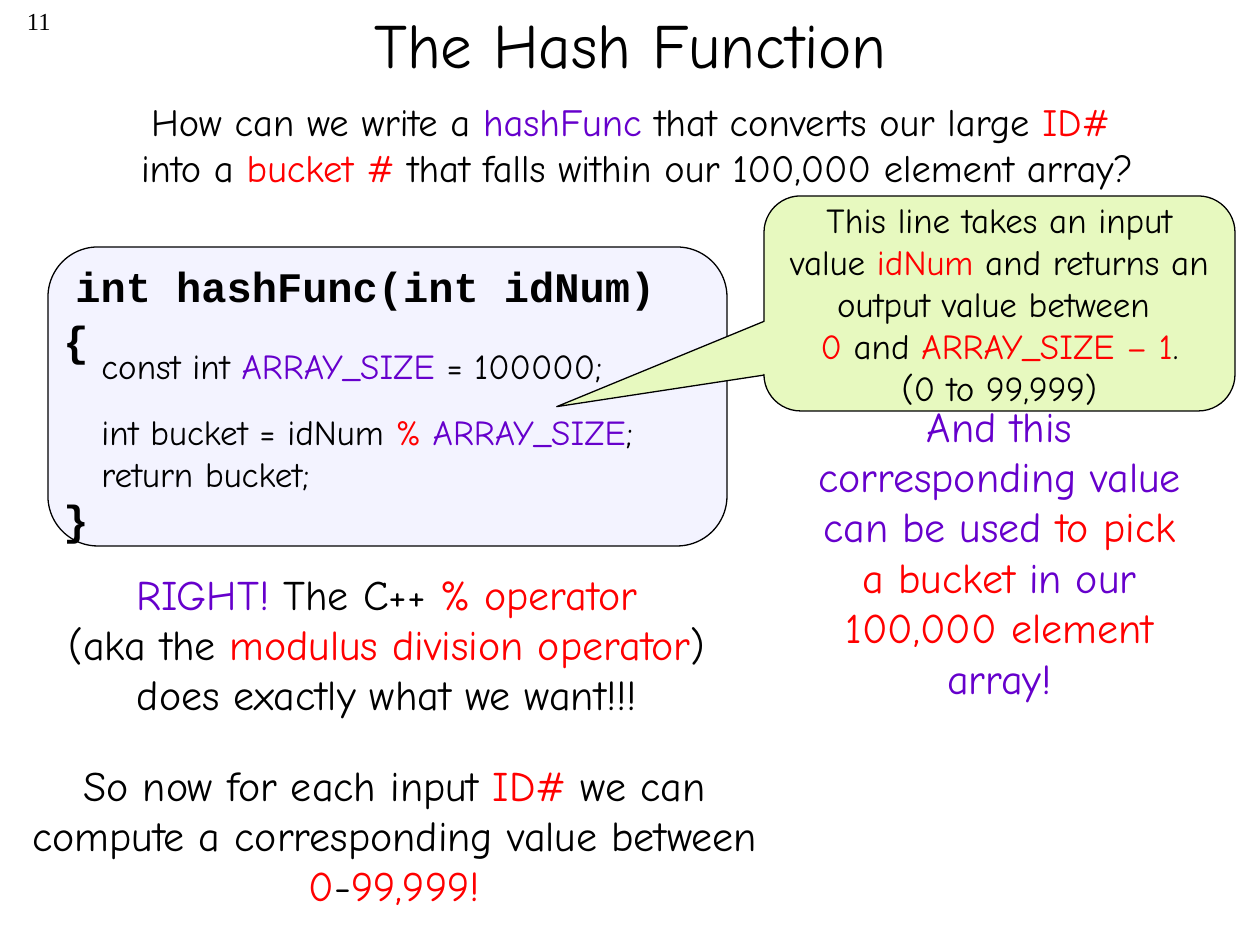
from pptx import Presentation
from pptx.dml.color import RGBColor
from pptx.enum.shapes import MSO_SHAPE as Shape
from pptx.enum.text import MSO_ANCHOR as Anchor, PP_ALIGN as Align
from pptx.util import Pt

PX = 914400 / 126
BLACK = RGBColor(0x00, 0x00, 0x00)
RED = RGBColor(0xFF, 0x00, 0x00)
PURPLE = RGBColor(0x66, 0x00, 0xCC)
LAVENDER = RGBColor(0xF3, 0xF3, 0xFF)
LIME = RGBColor(0xE7, 0xF9, 0xBF)
BODY, CODE, SERIF = "Comic Neue", "Courier New", "Times New Roman"


def px(n):
    """Turn px into EMU."""
    return round(n * PX)


def style(r, size, color=BLACK, font=BODY, bold=False):
    """Set the look of one run."""
    r.font.size, r.font.name, r.font.bold = Pt(size), font, bold
    r.font.color.rgb = color


def write(tf, paragraphs, size, align=Align.CENTER):
    """Fill a frame with paragraphs of (text, color) runs, breaking at newlines."""
    tf.word_wrap = True
    for i, runs in enumerate(paragraphs):
        p = tf.add_paragraph() if i else tf.paragraphs[0]
        p.alignment = align
        for text, color in runs:
            for j, piece in enumerate(text.split("\n")):
                if j:
                    p.add_line_break()
                if piece:
                    r = p.add_run()
                    r.text = piece
                    style(r, size, color)


def add_text(s, box, paragraphs, size, align=Align.CENTER):
    """Add a wrapped text box and return its frame."""
    tf = s.shapes.add_textbox(*map(px, box)).text_frame
    write(tf, paragraphs, size, align)
    return tf


def add_panel(s, kind, box, fill):
    """Add a filled shape with a thin black outline."""
    sp = s.shapes.add_shape(kind, *map(px, box))
    sp.shadow.inherit = False
    sp.fill.solid()
    sp.fill.fore_color.rgb = fill
    sp.line.color.rgb = BLACK
    sp.line.width = Pt(0.75)
    return sp


def add_header(s, box):
    """Place the slide number and the title."""
    x, y, w, h = box
    tf = add_text(s, (x - 294, 0, 262, 63), [[("11", BLACK)]], 14, Align.RIGHT)
    tf.paragraphs[0].runs[0].font.name = SERIF
    title = s.shapes.title
    title.left, title.top, title.width, title.height = map(px, box)
    tf = title.text_frame
    tf.text = "The Hash Function"
    tf.vertical_anchor = Anchor.MIDDLE
    p = tf.paragraphs[0]
    p.alignment = Align.CENTER
    style(p.runs[0], 36)


def add_code(s, box):
    """Place the function panel with its signature, braces and body."""
    x, y, w, h = box
    add_panel(s, Shape.ROUNDED_RECTANGLE, box, LAVENDER)
    tf = s.shapes.add_textbox(*map(px, (x + 3, y, w - 3, h - 7))).text_frame
    tf.word_wrap = True
    tf.margin_top = px(14)
    tf.text = "int hashFunc(int idNum)\n{\n}"
    for p, indent, gap in zip(tf.paragraphs, (12, 0, 0), (0, 2, 73)):
        p.space_before = Pt(gap)
        p._p.get_or_add_pPr().set("marL", str(px(indent)))
        style(p.runs[0], 24, BLACK, CODE, True)
    tf = add_text(s, (x + 41, y + 91, w + 40, 165), [
        [("const int ", BLACK), ("ARRAY_SIZE", PURPLE), (" = 100000;", BLACK)],
        [("int bucket = idNum ", BLACK), ("% ", RED),
         ("ARRAY_SIZE", PURPLE), (";", BLACK)],
        [("return bucket;", BLACK)]], 20, Align.LEFT)
    tf.paragraphs[1].space_before = Pt(14)


def add_callout(s, box):
    """Place the callout that points at the modulus line."""
    sp = add_panel(s, Shape.ROUNDED_RECTANGULAR_CALLOUT, box, LIME)
    for i, value in enumerate((-0.94, 0.48, 0.17)):
        sp.adjustments[i] = value
    tf = sp.text_frame
    tf.vertical_anchor = Anchor.MIDDLE
    write(tf, [
        [("This line takes an input value ", BLACK), ("idNum", RED),
         (" and returns an output value between \n", BLACK), ("0 ", RED),
         ("and ", BLACK), ("ARRAY_SIZE – 1", RED), (".", BLACK)],
        [("(0 to 99,999)", BLACK)]], 20)


def main():
    """Build and save the slide."""
    prs = Presentation()
    prs.slide_width, prs.slide_height = px(1260), px(945)
    s = prs.slides.add_slide(prs.slide_layouts[5])
    add_header(s, (95, -35, 1071, 157))
    add_code(s, (48, 247, 679, 299))
    add_text(s, (37, 92, 1200, 106), [[
        ("How can we write a ", BLACK), ("hashFunc ", PURPLE),
        ("that converts our large ", BLACK), ("ID# \n", RED),
        ("into a ", BLACK), ("bucket # ", RED),
        ("that falls within our 100,000 element array?", BLACK)]], 22)
    add_text(s, (-67, 562, 922, 165), [[
        ("RIGHT! ", PURPLE), ("The C++ ", BLACK), ("% operator \n", RED),
        ("(aka the ", BLACK), ("modulus division operator", RED),
        (") \ndoes exactly what we want!!! ", BLACK)]], 24)
    add_callout(s, (764, 196, 471, 215))
    add_text(s, (9, 753, 771, 165), [[
        ("So now for each input ", BLACK), ("ID#", RED),
        (" we can compute a corresponding value between ", BLACK),
        ("0", RED), ("-", BLACK), ("99,999!", RED)]], 24)
    add_text(s, (800, 394, 399, 318), [[
        ("And this corresponding value can be used ", PURPLE),
        ("to pick a bucket", RED), (" in our ", PURPLE),
        ("100,000 element ", RED), ("array!", PURPLE)]], 24)
    prs.save("out.pptx")


if __name__ == "__main__":
    main()
